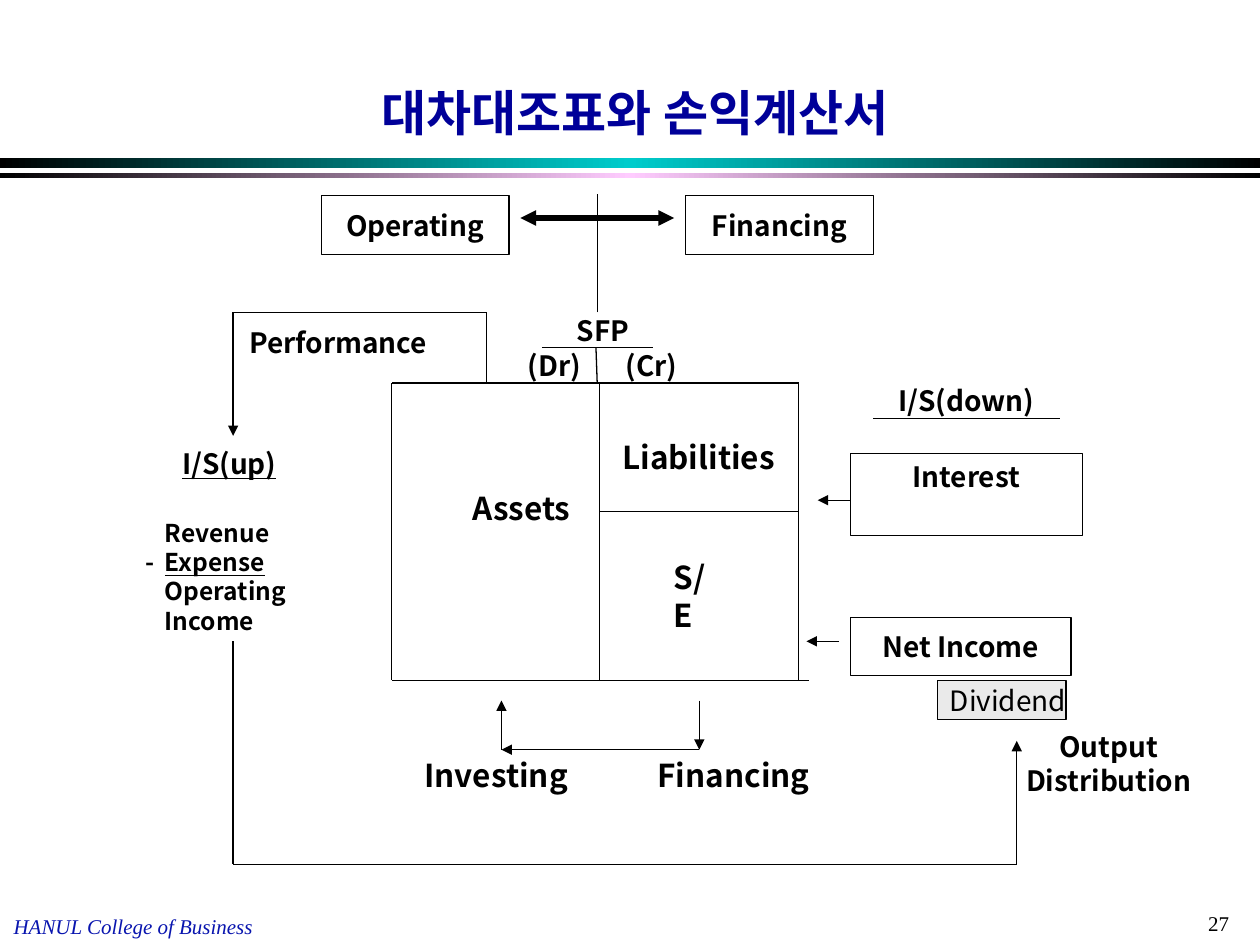
import itertools
import pptx
import pptx.dml.color
import pptx.enum.shapes
import pptx.enum.text
import pptx.oxml
import pptx.oxml.ns
import pptx.oxml.xmlchemy
import pptx.util

Inches = pptx.util.Inches
Pt = pptx.util.Pt
ALIGN = pptx.enum.text.PP_ALIGN
ANCHOR = pptx.enum.text.MSO_ANCHOR
qn = pptx.oxml.ns.qn

THEME = {
    "ink": "000000", "title": "000099", "footer": "0915AF", "payout": "EAEAEA",
    "teal": "00CCCC", "pink": "FFCCFF",
    "sans": "Noto Sans CJK KR", "heading": "Arial", "serif": "Times New Roman",
    "title_size": 28, "account_size": 18, "label_size": 16, "detail_size": 14, "footer_size": 12,
    "thin": 0.75, "thick": 3,
}

LABEL = {"name": THEME["sans"], "size": Pt(THEME["label_size"]), "bold": True}
ACCOUNT = {**LABEL, "size": Pt(THEME["account_size"])}
DETAIL = {**LABEL, "size": Pt(THEME["detail_size"])}
PAYOUT = {**LABEL, "bold": False}
UNDERLINED = {**LABEL, "underline": True}
TITLE = {"name": THEME["heading"], "size": Pt(THEME["title_size"]), "bold": True}
NUMBER = {"name": THEME["serif"], "size": Pt(THEME["footer_size"])}
FOOTER = {**NUMBER, "italic": True}

CENTERED = {"vertical_anchor": ANCHOR.MIDDLE, "word_wrap": False}
TOP = {"vertical_anchor": ANCHOR.TOP, "word_wrap": False}
TOP_WRAPPED = {**TOP, "word_wrap": True}
MIDDLE_WRAPPED = {**CENTERED, "word_wrap": True}
BOTTOM_WRAPPED = {"vertical_anchor": ANCHOR.BOTTOM, "word_wrap": True}

BANDS = [((0, 1.25, 10, 0.08), THEME["teal"]), ((0, 1.37, 10, 0.04), THEME["pink"])]

BOXES = [
    ("Operating", (2.55, 1.55, 1.49, 0.47), LABEL, CENTERED, ALIGN.CENTER, None),
    ("Financing", (5.44, 1.55, 1.49, 0.47), LABEL, CENTERED, ALIGN.CENTER, None),
    ("Interest", (6.75, 3.6, 1.84, 0.65), LABEL, TOP, ALIGN.CENTER, None),
    ("Net Income", (6.75, 4.9, 1.75, 0.46), LABEL, CENTERED, ALIGN.CENTER, None),
    ("Dividend", (7.44, 5.4, 1.02, 0.31), PAYOUT, CENTERED, ALIGN.LEFT, THEME["payout"]),
]

LABELS = [
    ("대차대조표와 손익계산서", (0.59, 0.25, 8.9, 0.92), TITLE, BOTTOM_WRAPPED, ALIGN.CENTER, THEME["title"]),
    ("Performance", (1.74, 2.48, 1.89, 0.47), LABEL, CENTERED, ALIGN.CENTER, THEME["ink"]),
    ("SFP", (4.04, 2.48, 1.49, 0.28), LABEL, CENTERED, ALIGN.CENTER, THEME["ink"]),
    ("(Dr)", (4.05, 2.76, 0.7, 0.28), LABEL, CENTERED, ALIGN.CENTER, THEME["ink"]),
    ("(Cr)", (4.82, 2.76, 0.7, 0.28), LABEL, CENTERED, ALIGN.CENTER, THEME["ink"]),
    ("I/S(down)", (6.75, 2.94, 1.84, 0.47), LABEL, CENTERED, ALIGN.CENTER, THEME["ink"]),
    ("I/S(up)", (0.9, 3.44, 1.84, 0.47), UNDERLINED, CENTERED, ALIGN.CENTER, THEME["ink"]),
    ("Output\nDistribution", (7.95, 5.83, 1.7, 0.46), LABEL, CENTERED, ALIGN.CENTER, THEME["ink"]),
    ("Assets", (3.65, 3.83, 1.05, 0.4), ACCOUNT, TOP, ALIGN.LEFT, THEME["ink"]),
    ("Liabilities", (4.84, 3.43, 1.45, 0.4), ACCOUNT, TOP, ALIGN.LEFT, THEME["ink"]),
    ("S/E", (5.25, 4.38, 0.58, 0.4), ACCOUNT, TOP_WRAPPED, ALIGN.LEFT, THEME["ink"]),
    ("Investing", (3.27, 5.95, 1.45, 0.4), ACCOUNT, TOP, ALIGN.LEFT, THEME["ink"]),
    ("Financing", (5.12, 5.95, 1.5, 0.4), ACCOUNT, TOP, ALIGN.LEFT, THEME["ink"]),
    ("27", (9.49, 7.18, 0.5, 0.3), NUMBER, TOP_WRAPPED, ALIGN.LEFT, THEME["ink"]),
    ("HANUL College of Business", (0.01, 7.2, 2.6, 0.3), FOOTER, TOP, ALIGN.LEFT, THEME["footer"]),
]

INCOME_PLACE = (1.06, 4.13, 1.65, 0.89)
INCOME_INDENT = 0.15
INCOME_LINES = [("", "Revenue", False), ("-\t", "Expense", True),
                ("", "Operating", False), ("", "Income", False)]

LEFT, MIDDLE, RIGHT = 3.11, 4.76, 6.34
TOP_EDGE, DIVIDE, BOTTOM_EDGE = 3.04, 4.06, 5.4
AXIS, FLOW_X, INVEST_X, FUND_X, PAYOUT_X = 4.74, 1.85, 3.98, 5.55, 8.07
FLOW_TOP, FLOW_BOTTOM = 5.56, 5.95

PLAIN_ROUTES = [
    [(AXIS, 2.48), (AXIS, 1.54)],
    [(4.73, 2.76), (AXIS, TOP_EDGE)],
    [(4.3, 2.76), (5.18, 2.76)],
    [(6.93, 3.32), (8.41, 3.32)],
    [(RIGHT, BOTTOM_EDGE), (RIGHT, TOP_EDGE), (LEFT, TOP_EDGE), (LEFT, BOTTOM_EDGE), (6.42, BOTTOM_EDGE)],
    [(MIDDLE, TOP_EDGE), (MIDDLE, BOTTOM_EDGE)],
    [(MIDDLE, DIVIDE), (RIGHT, DIVIDE)],
]
ARROW_ROUTES = [
    [(3.86, TOP_EDGE), (3.86, 2.48), (FLOW_X, 2.48), (FLOW_X, 3.46)],
    [(FLOW_X, 5.09), (FLOW_X, 6.86), (PAYOUT_X, 6.86), (PAYOUT_X, 5.88)],
    [(6.75, 3.97), (6.49, 3.97)],
    [(6.66, 5.09), (6.4, 5.09)],
    [(FUND_X, FLOW_TOP), (FUND_X, FLOW_BOTTOM)],
    [(FUND_X, FLOW_BOTTOM), (INVEST_X, FLOW_BOTTOM)],
    [(INVEST_X, FLOW_BOTTOM), (INVEST_X, FLOW_TOP)],
]
THICK_ROUTES = [[(AXIS, 1.73), (AXIS + reach, 1.73)] for reach in (-0.61, 0.61)]


def rgb(value):
    return pptx.dml.color.RGBColor.from_string(value)


def apply(target, values):
    for key, value in values.items():
        setattr(target, key, value)


def style_run(run, font, color):
    apply(run.font, font)
    run.font.color.rgb = rgb(color)
    east_asian = pptx.oxml.parse_xml(
        f'<a:ea {pptx.oxml.ns.nsdecls("a")} typeface="{THEME["sans"]}"/>')
    run.font._element.find(qn("a:latin")).addnext(east_asian)


def write(holder, text, font, frame, align, color):
    apply(holder.text_frame, frame)
    holder.text_frame.text = text
    for paragraph in holder.text_frame.paragraphs:
        paragraph.alignment = align
        for run in paragraph.runs:
            style_run(run, font, color)


def add_rectangle(slide, place):
    rectangle = slide.shapes.add_shape(
        pptx.enum.shapes.MSO_SHAPE.RECTANGLE, *map(Inches, place))
    rectangle.shadow.inherit = False
    return rectangle


def add_band(slide, place, glow):
    band = add_rectangle(slide, place)
    band.line.fill.background()
    band.fill.gradient()
    band.fill.gradient_angle = 0
    stops = band._element.spPr.find(".//" + qn("a:gsLst"))
    colors = [(0, THEME["ink"]), (50, glow), (100, THEME["ink"])]
    xml = "".join(f'<a:gs pos="{pos * 1000}"><a:srgbClr val="{color}"/></a:gs>' for pos, color in colors)
    stops.getparent().replace(stops, pptx.oxml.parse_xml(
        f'<a:gsLst {pptx.oxml.ns.nsdecls("a")}>{xml}</a:gsLst>'))


def add_box(slide, text, place, font, frame, align, fill):
    box = add_rectangle(slide, place)
    if fill:
        box.fill.solid()
        box.fill.fore_color.rgb = rgb(fill)
    else:
        box.fill.background()
    box.line.color.rgb = rgb(THEME["ink"])
    box.line.width = Pt(THEME["thin"])
    write(box, text, font, frame, align, THEME["ink"])


def add_label(slide, text, place, *style):
    write(slide.shapes.add_textbox(*map(Inches, place)), text, *style)


def add_income(slide):
    frame = slide.shapes.add_textbox(*map(Inches, INCOME_PLACE)).text_frame
    apply(frame, MIDDLE_WRAPPED)
    for index, (sign, item, underline) in enumerate(INCOME_LINES):
        paragraph = frame.add_paragraph() if index else frame.paragraphs[0]
        properties = paragraph._p.get_or_add_pPr()
        properties.set("marL", str(Inches(INCOME_INDENT)))
        properties.set("indent", str(-Inches(INCOME_INDENT) if sign else 0))
        for text, mark in ((sign, False), (item, underline)):
            if text:
                run = paragraph.add_run()
                run.text = text
                style_run(run, {**DETAIL, "underline": mark}, THEME["ink"])


def add_route(slide, points, arrow, weight):
    for start, end in itertools.pairwise(points):
        segment = slide.shapes.add_connector(
            pptx.enum.shapes.MSO_CONNECTOR.STRAIGHT, *map(Inches, start + end))
        segment.line.color.rgb = rgb(THEME["ink"])
        segment.line.width = Pt(weight)
        segment._element.spPr.append(pptx.oxml.xmlchemy.OxmlElement("a:effectLst"))
    if arrow:
        head = pptx.oxml.xmlchemy.OxmlElement("a:tailEnd")
        head.set("type", "triangle")
        segment.line._get_or_add_ln().append(head)


def main():
    deck = pptx.Presentation()
    apply(deck, {"slide_width": Inches(10), "slide_height": Inches(7.5)})
    slide = deck.slides.add_slide(deck.slide_layouts[6])
    for band in BANDS:
        add_band(slide, *band)
    for box in BOXES:
        add_box(slide, *box)
    for routes, arrow, weight in ((PLAIN_ROUTES, False, THEME["thin"]),
                                  (ARROW_ROUTES, True, THEME["thin"]),
                                  (THICK_ROUTES, True, THEME["thick"])):
        for points in routes:
            add_route(slide, points, arrow, weight)
    for label in LABELS:
        add_label(slide, *label)
    add_income(slide)
    deck.save("out.pptx")


if __name__ == "__main__":
    main()
